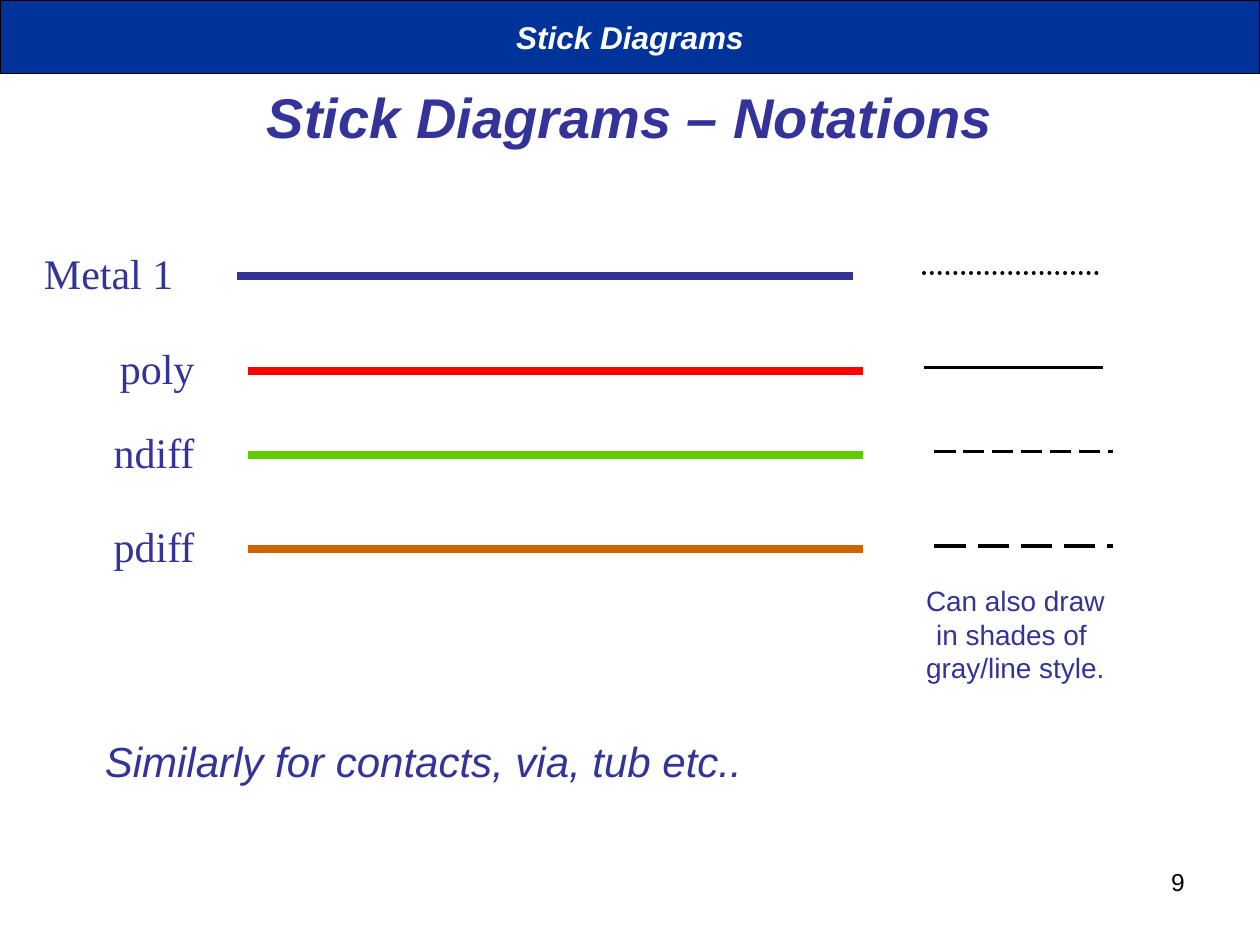
from lxml.etree import SubElement
from pptx import Presentation
from pptx.dml.color import RGBColor as Rgb
from pptx.enum.dml import MSO_LINE_DASH_STYLE as Dash
from pptx.enum.shapes import MSO_CONNECTOR as Connector, MSO_SHAPE as Shape
from pptx.enum.text import MSO_ANCHOR as Anchor, PP_ALIGN as Align
from pptx.oxml.ns import qn
from pptx.util import Inches, Pt

COLORS = {
    "ink": "333399", "banner": "003399", "black": "000000", "white": "FFFFFF",
    "poly": "FF0000", "ndiff": "60C900", "pdiff": "CC6600",
}
SERIF = "Times New Roman"

# name, row, label right, line column, colour, sample column, width, dash
LAYERS = [
    ("Metal 1", 23, 17.7, 22.6, "ink", 88, 2.25, Dash.ROUND_DOT),
    ("poly", 32, 19.7, 23.6, "poly", 88, 2.25, None),
    ("ndiff", 40, 19.7, 23.6, "ndiff", 89, 1.5, Dash.LONG_DASH),
    ("pdiff", 49, 19.7, 23.6, "pdiff", 89, 2.25, Dash.LONG_DASH),
]
LINE_SPAN, SAMPLE_SPAN = 58.6, 17


def grid(*cells):
    """Convert columns and rows, twelve to the inch, to lengths."""
    return [Inches(cell / 12) for cell in cells]


def color(name):
    return Rgb.from_string(COLORS[name])


def write(shape, text, size, font="Arial", ink="ink", align=Align.LEFT,
          anchor=Anchor.TOP, bold=False, italic=False):
    frame = shape.text_frame
    frame.word_wrap = True
    frame.vertical_anchor = anchor
    frame.text = text
    for para in frame.paragraphs:
        para.alignment = align
        for span in para.runs:
            span.font.name, span.font.size = font, Pt(size)
            span.font.bold, span.font.italic = bold, italic
            span.font.color.rgb = color(ink)


def add_text(page, area, text, size, **style):
    write(page.shapes.add_textbox(*grid(*area)), text, size, **style)


def add_line(page, column, row, span, ink, width, dash=None):
    ends = grid(column, row, column + span, row)
    line = page.shapes.add_connector(Connector.STRAIGHT, *ends)
    line.line.color.rgb = color(ink)
    line.line.width = Pt(width)
    shape_format = line._element.spPr
    if dash:
        line.line.dash_style = dash
    if dash == Dash.ROUND_DOT:
        shape_format.find(qn("a:ln")).set("cap", "rnd")
    SubElement(shape_format, qn("a:effectLst"))


def add_banner(page, text):
    banner = page.shapes.add_shape(Shape.RECTANGLE, *grid(0, 0, 120, 7))
    banner.shadow.inherit = False
    banner.fill.solid()
    banner.fill.fore_color.rgb = color("banner")
    banner.line.color.rgb = color("black")
    banner.line.width = Pt(0.75)
    write(banner, text, 18, ink="white", align=Align.CENTER,
          anchor=Anchor.MIDDLE, bold=True, italic=True)


def set_title(page, text):
    title = page.shapes.title
    title.left, title.top, title.width, title.height = grid(6, 3.6, 108, 15)
    write(title, text, 32, align=Align.CENTER, anchor=Anchor.MIDDLE,
          bold=True, italic=True)


def add_layer(page, name, row, right, column, ink, sample, width, dash):
    add_line(page, column, row + 3.3, LINE_SPAN, ink, 4.5)
    add_text(page, (0, row, right, 6), name, 24, font=SERIF, align=Align.RIGHT)
    add_line(page, sample, row + 3, SAMPLE_SPAN, "black", width, dash)


def main():
    deck = Presentation()
    deck.slide_width, deck.slide_height = grid(120, 90)
    page = deck.slides.add_slide(deck.slide_layouts[5])

    # Heading
    set_title(page, "Stick Diagrams – Notations")
    add_banner(page, "Stick Diagrams")

    # Layer notations
    for layer in LAYERS:
        add_layer(page, *layer)

    # Remarks and page number
    add_text(page, (86, 55, 21.4, 10.8),
             "Can also draw\nin shades of \ngray/line style.", 16,
             align=Align.CENTER)
    add_text(page, (8.8, 69.5, 70.2, 6),
             "Similarly for contacts, via, tub etc..", 24, italic=True)
    add_text(page, (86, 82, 28, 6.2), "9", 14, ink="black", align=Align.RIGHT)

    deck.save("out.pptx")


main()
